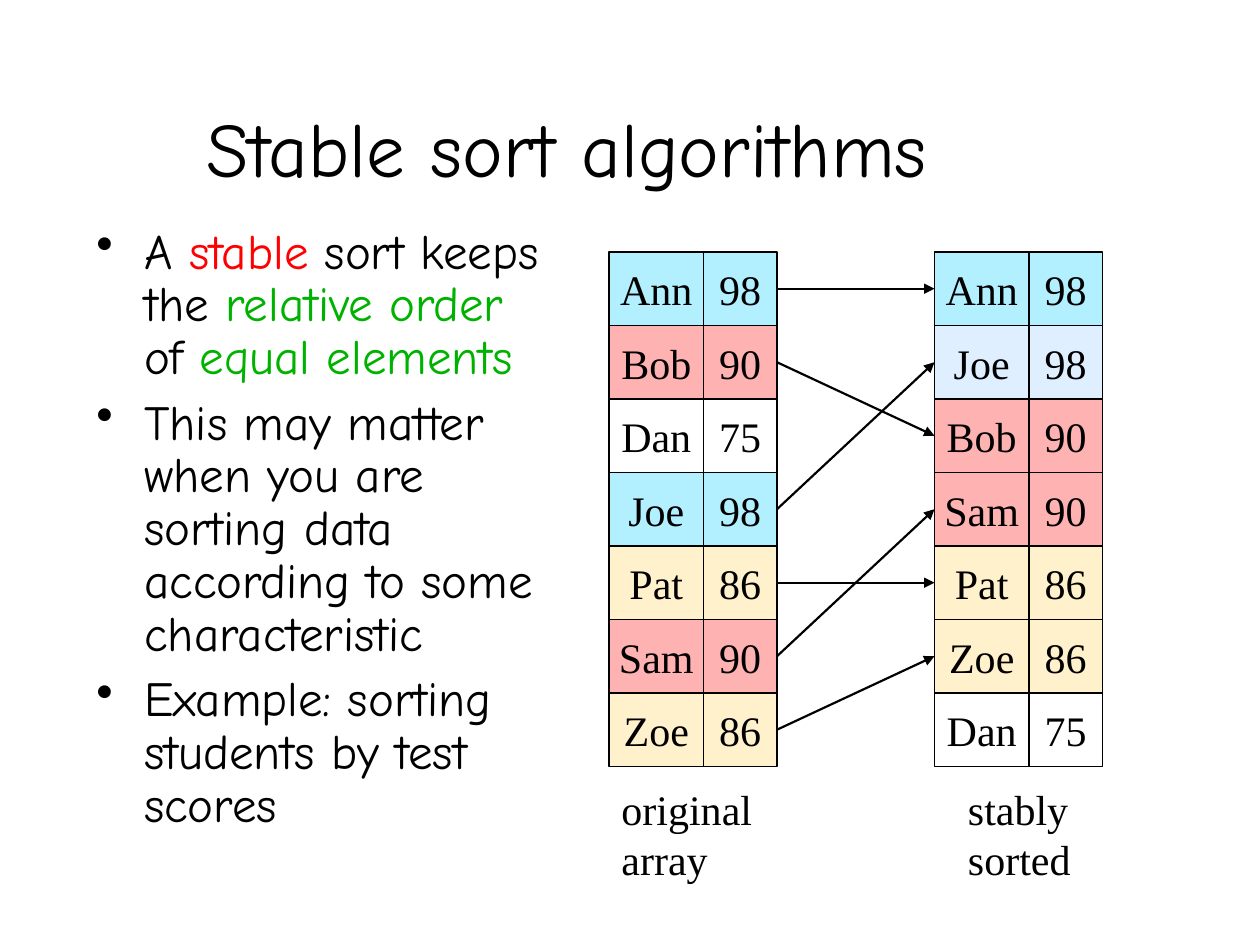
from pptx import Presentation
from pptx import util as u
from pptx.dml.color import RGBColor
from pptx.enum import shapes, text
from pptx.oxml.ns import qn
from lxml import etree

COLORS = {"ink": "000000", "red": "FF0000", "green": "00B200",
          "cyan": "00CCFF", "blue": "99CCFF", "cream": "FFF1CC"}
OPACITY = {"red": 30000, "cyan": 30000, "blue": 30000}
TINTS = {98: "cyan", 90: "red", 86: "cream", 75: None}
SCORES = {"Ann": 98, "Bob": 90, "Dan": 75, "Joe": 98, "Pat": 86, "Sam": 90, "Zoe": 86}
BULLETS = [
    [("A ", "ink"), ("stable", "red"), (" sort keeps the ", "ink"),
     ("relative order", "green"), (" of ", "ink"), ("equal elements", "green")],
    [("This may matter when you are sorting data according to some characteristic", "ink")],
    [("Example: sorting students by test scores", "ink")],
]
UNIT = u.Inches(1) / 12
ROW_HEIGHT, NAME_WIDTH, SCORE_WIDTH = 7, 9, 7
TABLE_TOP, CAPTION_TOP = 24, 74


class SlideBuilder:
    display_font = "Comic Neue"
    table_font = "Times New Roman"

    def __init__(self, presentation):
        self.slide = presentation.slides.add_slide(presentation.slide_layouts[6])

    def place(self, *units):
        return [round(value * UNIT) for value in units]

    def color(self, name):
        return RGBColor.from_string(COLORS[name])

    def style(self, font, size, name, color="ink"):
        font.size, font.name = u.Pt(size), name
        font.color.rgb = self.color(color)

    def text_box(self, box, content, size, font, align=None, anchor=text.MSO_ANCHOR.TOP):
        frame = self.slide.shapes.add_textbox(*self.place(*box)).text_frame
        frame.word_wrap = True
        frame.vertical_anchor = anchor
        frame.text = content
        paragraph = frame.paragraphs[0]
        paragraph.alignment = align
        self.style(paragraph.runs[0].font, size, font)

    def bullet_list(self, box, items):
        frame = self.slide.shapes.add_textbox(*self.place(*box)).text_frame
        frame.word_wrap = True
        for index, item in enumerate(items):
            paragraph = frame.add_paragraph() if index else frame.paragraphs[0]
            paragraph.line_spacing = 0.9
            paragraph.space_before = u.Pt(7 if index else 0)
            properties = paragraph._p.get_or_add_pPr()
            properties.set("marL", str(u.Inches(0.38)))
            properties.set("indent", str(u.Inches(-0.38)))
            etree.SubElement(properties, qn("a:buChar"), char="•")
            for content, color in item:
                run = paragraph.add_run()
                run.text = content
                self.style(run.font, 28, self.display_font, color)

    def cell(self, box, content, tint):
        shape = self.slide.shapes.add_shape(shapes.MSO_SHAPE.RECTANGLE, *self.place(*box))
        shape.shadow.inherit = False
        if tint:
            shape.fill.solid()
            shape.fill.fore_color.rgb = self.color(tint)
            if tint in OPACITY:
                fill_color = shape.element.spPr.find(".//" + qn("a:srgbClr"))
                etree.SubElement(fill_color, qn("a:alpha"), val=str(OPACITY[tint]))
        else:
            shape.fill.background()
        shape.line.color.rgb = self.color("ink")
        shape.line.width = u.Pt(1)
        frame = shape.text_frame
        frame.word_wrap = False
        frame.vertical_anchor = text.MSO_ANCHOR.MIDDLE
        frame.text = content
        paragraph = frame.paragraphs[0]
        paragraph.alignment = text.PP_ALIGN.CENTER
        self.style(paragraph.runs[0].font, 24, self.table_font)
        return shape

    def score_table(self, left, names, special_tints):
        cells = {}
        for row, name in enumerate(names):
            top = TABLE_TOP + row * ROW_HEIGHT
            score = SCORES[name]
            tint = special_tints.get(name, TINTS[score])
            cells[name] = (
                self.cell((left, top, NAME_WIDTH, ROW_HEIGHT), name, tint),
                self.cell((left + NAME_WIDTH, top, SCORE_WIDTH, ROW_HEIGHT), str(score), tint))
        return cells

    def arrow(self, start, end):
        connector = self.slide.shapes.add_connector(shapes.MSO_CONNECTOR.STRAIGHT, 0, 0, 0, 0)
        connector.begin_connect(start, 3)
        connector.end_connect(end, 1)
        connector.line.color.rgb = self.color("ink")
        connector.line.width = u.Pt(1.25)
        etree.SubElement(connector.line._get_or_add_ln(), qn("a:tailEnd"), type="triangle")
        etree.SubElement(connector.element.spPr, qn("a:effectLst"))


def main():
    presentation = Presentation()
    presentation.slide_width, presentation.slide_height = u.Inches(10), u.Inches(7.5)
    builder = SlideBuilder(presentation)
    builder.text_box((9, 2, 90, 17), "Stable sort algorithms", 44, builder.display_font,
                     text.PP_ALIGN.CENTER, text.MSO_ANCHOR.BOTTOM)
    builder.bullet_list((8, 21, 46.3, 60), BULLETS)

    by_score = sorted(SCORES, key=SCORES.get, reverse=True)
    original = builder.score_table(58, SCORES, {})
    ordered = builder.score_table(89, by_score, {"Joe": "blue"})
    for left, caption in ((58, "original array"), (91, "stably sorted")):
        builder.text_box((left, CAPTION_TOP, 16, 10.8), caption, 24, builder.table_font)
    for name in SCORES:
        if name != "Dan":
            builder.arrow(original[name][1], ordered[name][0])
    presentation.save("out.pptx")


if __name__ == "__main__":
    main()
